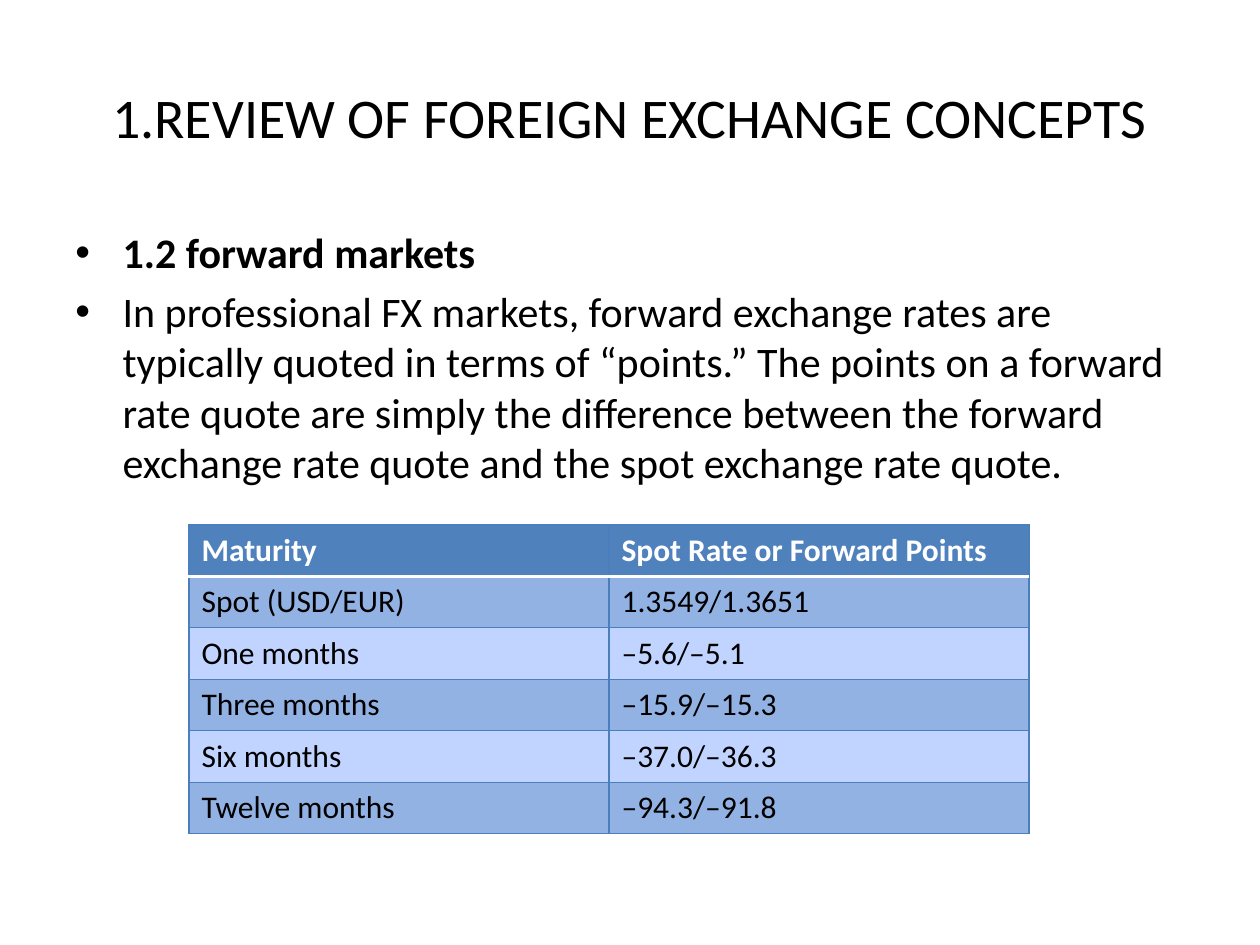
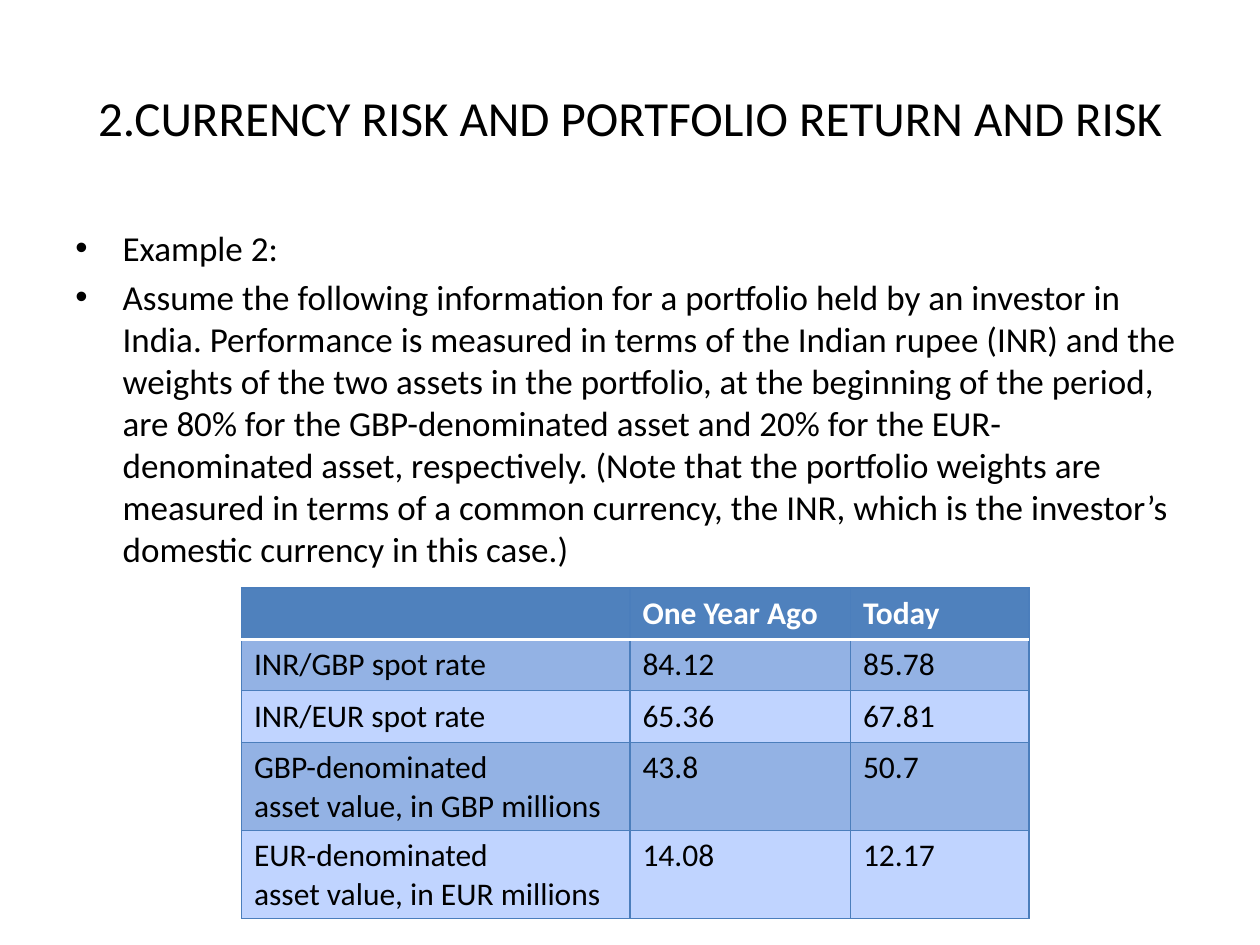
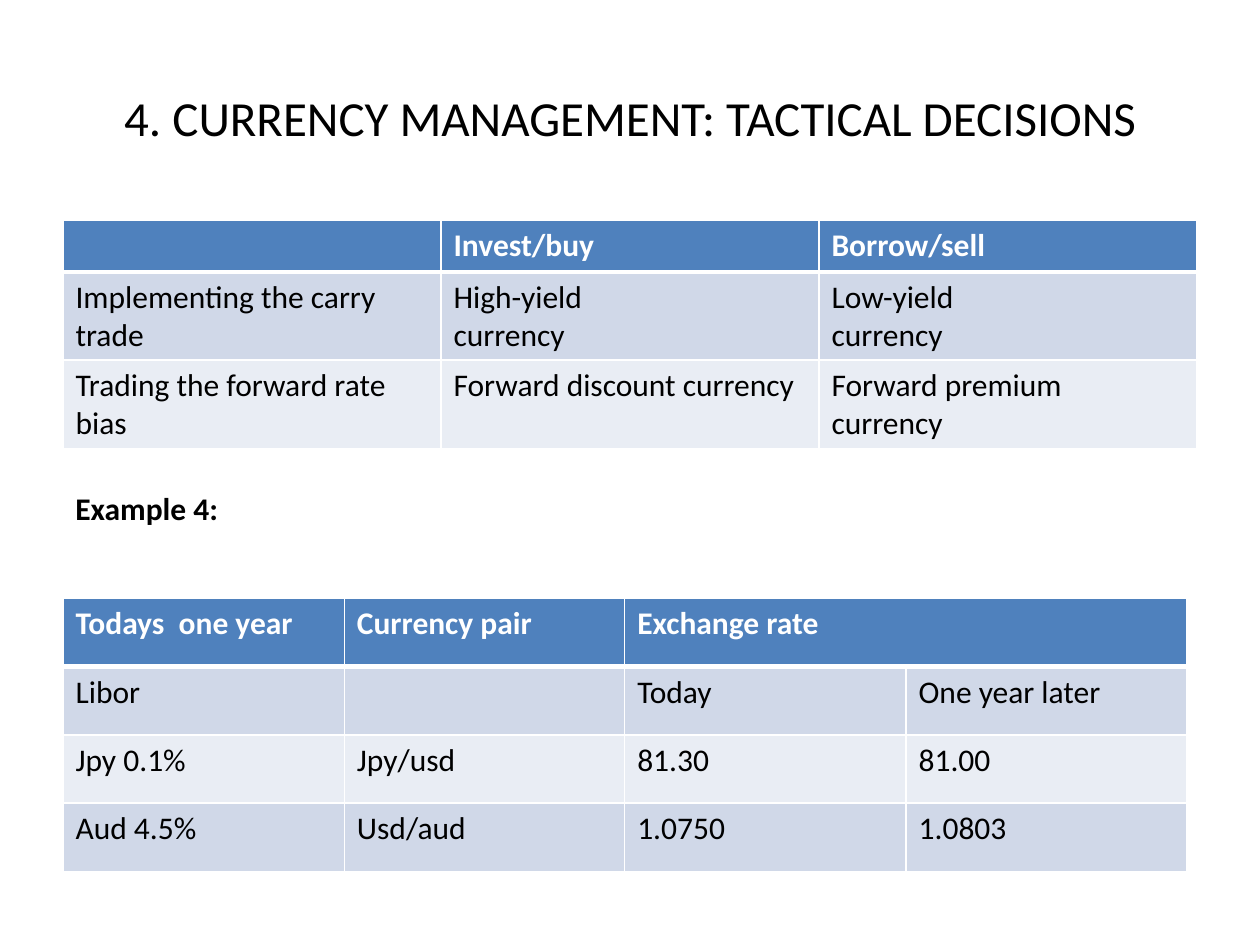
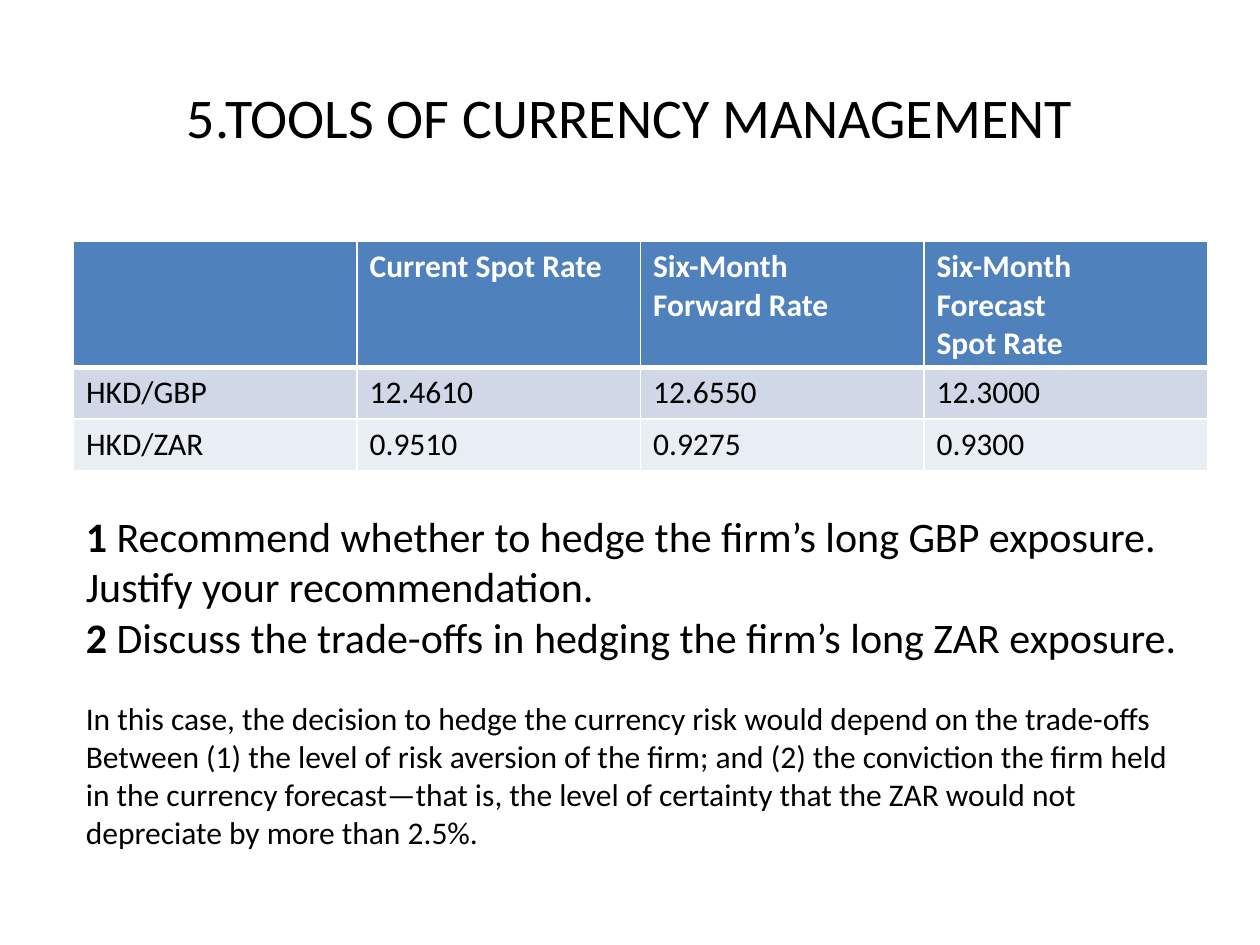
from lxml import etree
from pptx import Presentation
from pptx.dml.color import RGBColor
from pptx.enum.text import MSO_ANCHOR, MSO_AUTO_SIZE, PP_ALIGN
from pptx.oxml.ns import qn
from pptx.util import Emu, Pt

CENTER = PP_ALIGN.CENTER
MIDDLE = MSO_ANCHOR.MIDDLE
GROW = MSO_AUTO_SIZE.SHAPE_TO_FIT_TEXT

EMU_PER_PX = 7620  # 120 px to the inch
FONT = "Calibri"
COLORS = {
    "text": "000000",
    "white": "FFFFFF",
    "header": "4F81BD",
    "grid": "4B7EBC",
    "grid_dark": "93B2E4",
    "grid_light": "C0D4FF",
    "band_dark": "D0D8E8",
    "band_light": "E9EDF4",
}
# Table looks: line colour, line width, width under the header, row fills
GRID = ("grid", 0.75, 2, ("grid_dark", "grid_light"))
BANDED = ("white", 1, 3, ("band_dark", "band_light"))
ROW_H = 49


def px(n):
    return Emu(n * EMU_PER_PX)


def rgb(name):
    return RGBColor.from_string(COLORS[name])


def format_run(r, size, color="text", bold=False):
    r.font.name = FONT
    r.font.size = Pt(size)
    r.font.bold = bold
    r.font.color.rgb = rgb(color)


def add_bullet(p):
    """Give a paragraph a round bullet with a hanging indent."""
    indent = px(45)
    pPr = p._p.get_or_add_pPr()
    pPr.set("marL", str(indent))
    pPr.set("indent", str(-indent))
    etree.SubElement(pPr, qn("a:buFont"), typeface="Arial")
    etree.SubElement(pPr, qn("a:buChar"), char="•")


def set_border(cell, side, color, width):
    """Draw one side (L, R, T or B); call before the cell is filled."""
    ln = etree.SubElement(cell._tc.get_or_add_tcPr(), qn(f"a:ln{side}"),
                          w=str(Pt(width)))
    fill = etree.SubElement(ln, qn("a:solidFill"))
    etree.SubElement(fill, qn("a:srgbClr"), val=COLORS[color])


class Deck:
    def __init__(self):
        self.prs = Presentation()
        self.prs.slide_width, self.prs.slide_height = px(1200), px(900)
        self.s = None

    def slide(self, title, size):
        self.s = self.prs.slides.add_slide(self.prs.slide_layouts[6])
        tf = self.text(60, 36, 1080, 150, [title], size)
        tf.vertical_anchor = MIDDLE
        tf.paragraphs[0].alignment = CENTER

    def text(self, x, y, w, h, paragraphs, size):
        """Each paragraph is a string or a list of (text, bold) runs."""
        tf = self.s.shapes.add_textbox(px(x), px(y), px(w), px(h)).text_frame
        tf.word_wrap = True
        for i, runs in enumerate(paragraphs):
            p = tf.add_paragraph() if i else tf.paragraphs[0]
            if isinstance(runs, str):
                runs = [(runs, False)]
            for words, bold in runs:
                r = p.add_run()
                r.text = words
                format_run(r, size, bold=bold)
        return tf

    def note(self, *args):
        """Text box that grows with its text."""
        self.text(*args).auto_size = GROW

    def bullets(self, paragraphs, size):
        tf = self.text(60, 210, 1080, 594, paragraphs, size)
        for p in tf.paragraphs:
            p.space_before = Pt(size * 0.2)
            add_bullet(p)

    def table(self, x, y, widths, rows, look, row_h=ROW_H):
        line, width, header_width, bands = look
        table = self.s.shapes.add_table(
            len(rows), len(widths), px(x), px(y),
            px(sum(widths)), px(row_h * len(rows))).table
        for column, w in zip(table.columns, widths):
            column.width = px(w)
        for i, row in enumerate(rows):
            table.rows[i].height = px(row_h)
            for j, words in enumerate(row):
                cell = table.cell(i, j)
                cell.text_frame.text = words
                for p in cell.text_frame.paragraphs:
                    for r in p.runs:
                        format_run(r, 18, "text" if i else "white", i == 0)
                for side in "LRTB":
                    under_header = (i, side) in ((0, "B"), (1, "T"))
                    if under_header:
                        set_border(cell, side, "white", header_width)
                    else:
                        set_border(cell, side, line, width)
                cell.fill.solid()
                cell.fill.fore_color.rgb = rgb(
                    bands[(i - 1) % 2] if i else "header")
        return table


def forward_markets(deck):
    deck.slide("1.REVIEW OF FOREIGN EXCHANGE CONCEPTS", 32)
    deck.bullets([
        [("1.2 forward markets", True)],
        "In professional FX markets, forward exchange rates are typically "
        "quoted in terms of “points.” The points on a forward rate quote are "
        "simply the difference between the forward exchange rate quote and "
        "the spot exchange rate quote.",
    ], 24)
    deck.table(180, 500, [400, 400], [
        ["Maturity", "Spot Rate or Forward Points"],
        ["Spot (USD/EUR)", "1.3549/1.3651"],
        ["One months", "–5.6/–5.1"],
        ["Three months", "–15.9/–15.3"],
        ["Six months", "–37.0/–36.3"],
        ["Twelve months", "–94.3/–91.8"],
    ], GRID)


def portfolio_risk(deck):
    deck.slide("2.CURRENCY RISK AND PORTFOLIO RETURN AND RISK", 28)
    deck.bullets([
        "Example 2:",
        "Assume the following information for a portfolio held by an investor "
        "in India. Performance is measured in terms of the Indian rupee (INR) "
        "and the weights of the two assets in the portfolio, at the beginning "
        "of the period, are 80% for the GBP-denominated asset and 20% for the "
        "EUR-denominated asset, respectively. (Note that the portfolio "
        "weights are measured in terms of a common currency, the INR, which "
        "is the investor’s domestic currency in this case.)",
    ], 20)
    deck.table(230, 560, [370, 210, 170], [
        ["", "One Year Ago", "Today"],
        ["INR/GBP spot rate", "84.12", "85.78"],
        ["INR/EUR spot rate", "65.36", "67.81"],
        ["GBP-denominated\nasset value, in GBP millions", "43.8", "50.7"],
        ["EUR-denominated\nasset value, in EUR millions", "14.08", "12.17"],
    ], GRID)


def tactical_decisions(deck):
    deck.slide("4. CURRENCY MANAGEMENT: TACTICAL DECISIONS", 28)
    deck.table(60, 210, [360] * 3, [
        ["", "Invest/buy", "Borrow/sell"],
        ["Implementing the carry trade", "High-yield\ncurrency",
         "Low-yield\ncurrency"],
        ["Trading the forward rate bias", "Forward discount currency",
         "Forward premium\ncurrency"],
    ], BANDED)
    rates = deck.table(60, 570, [268, 267] * 2, [
        ["Todays  one year", "Currency pair", "Exchange rate", ""],
        ["Libor", "", "Today", "One year later"],
        ["Jpy 0.1%", "Jpy/usd", "81.30", "81.00"],
        ["Aud 4.5%", "Usd/aud", "1.0750", "1.0803"],
    ], BANDED, row_h=65)
    rates.cell(0, 2).merge(rates.cell(0, 3))
    deck.note(60, 460, 1070, 48, [[("Example 4:", True)]], 18)


def management_tools(deck):
    deck.slide("5.TOOLS OF CURRENCY MANAGEMENT", 32)
    deck.table(70, 230, [270] * 4, [
        ["", "Current Spot Rate", "Six-Month\nForward Rate",
         "Six-Month\nForecast\nSpot Rate"],
        ["HKD/GBP", "12.4610", "12.6550", "12.3000"],
        ["HKD/ZAR", "0.9510", "0.9275", "0.9300"],
    ], BANDED)
    deck.note(70, 480, 1080, 157, [
        [("1 ", True),
         ("Recommend whether to hedge the firm’s long GBP exposure. "
          "Justify your recommendation.", False)],
        [("2 ", True),
         ("Discuss the trade-offs in hedging the firm’s long ZAR exposure.",
          False)],
    ], 24)
    deck.note(70, 660, 1080, 157, [
        "In this case, the decision to hedge the currency risk would depend "
        "on the trade-offs",
        "Between (1) the level of risk aversion of the firm; and (2) the "
        "conviction the firm held",
        "in the currency forecast—that is, the level of certainty that the "
        "ZAR would not",
        "depreciate by more than 2.5%.",
    ], 18)


def main():
    deck = Deck()
    forward_markets(deck)
    portfolio_risk(deck)
    tactical_decisions(deck)
    management_tools(deck)
    deck.prs.save("out.pptx")


if __name__ == "__main__":
    main()
